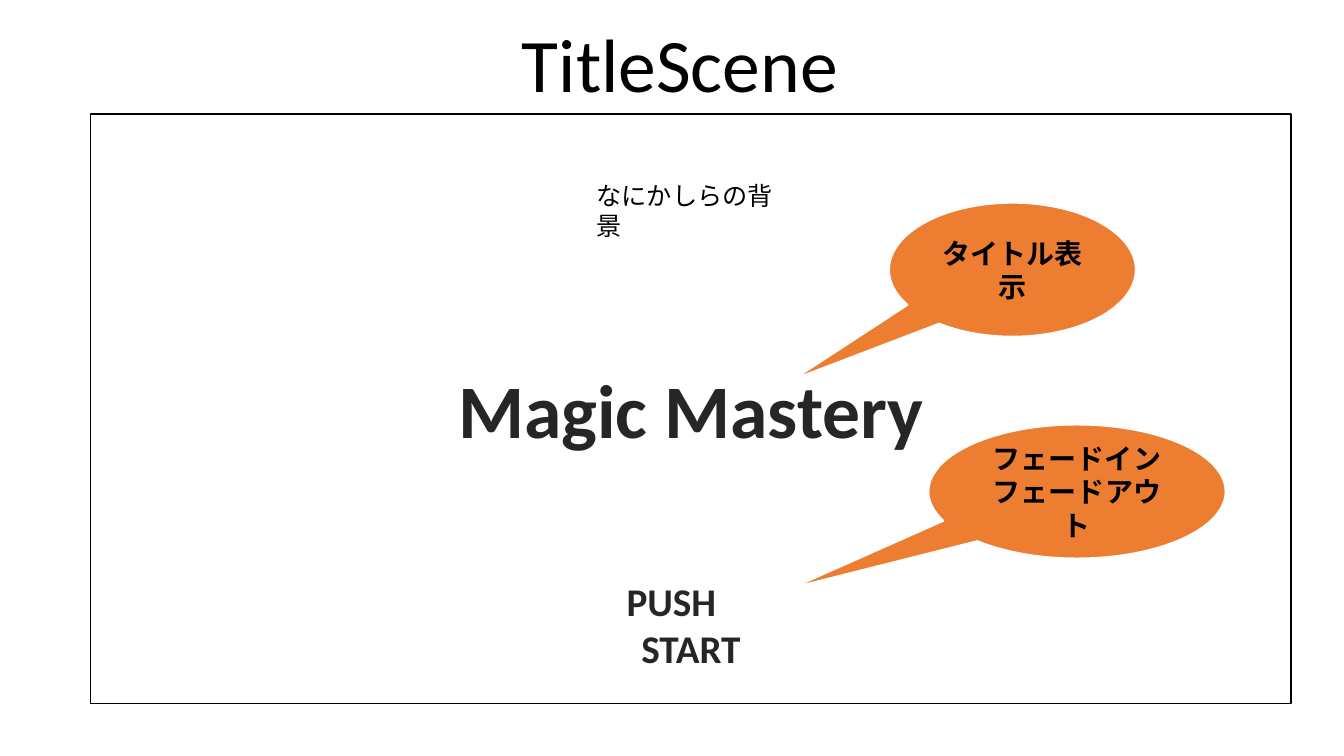
from pptx import Presentation
from pptx.dml.color import RGBColor
from pptx.enum.shapes import MSO_SHAPE
from pptx.enum.text import MSO_ANCHOR, MSO_AUTO_SIZE, PP_ALIGN
from pptx.util import Pt

BLACK = RGBColor(0x00, 0x00, 0x00)
CHARCOAL = RGBColor(0x26, 0x26, 0x26)
WHITE = RGBColor(0xFF, 0xFF, 0xFF)
ORANGE = RGBColor(0xED, 0x7D, 0x31)
RECTANGLE = MSO_SHAPE.RECTANGLE
CALLOUT = MSO_SHAPE.OVAL_CALLOUT
LEFT, CENTER = PP_ALIGN.LEFT, PP_ALIGN.CENTER
TOP, MIDDLE = MSO_ANCHOR.TOP, MSO_ANCHOR.MIDDLE
NO_AUTOFIT = MSO_AUTO_SIZE.NONE
FONT = "Calibri"


def write(shape, lines, size, color=BLACK, bold=False, align=CENTER, anchor=TOP):
    frame = shape.text_frame
    frame.word_wrap = True
    frame.auto_size = NO_AUTOFIT
    frame.vertical_anchor = anchor
    frame.margin_left = frame.margin_right = Pt(7.2)
    frame.margin_top = frame.margin_bottom = Pt(3.6)
    for index, line in enumerate(lines):
        para = frame.add_paragraph() if index else frame.paragraphs[0]
        para.alignment = align
        para.line_spacing = 1.0
        span = para.add_run()
        span.text = line
        span.font.name = FONT
        span.font.size = Pt(size)
        span.font.bold = bold
        span.font.color.rgb = color


def add_heading(page, left, top, width, height):
    title = page.shapes.title
    title.left, title.top = Pt(left), Pt(top)
    title.width, title.height = Pt(width), Pt(height)
    write(title, ["TitleScene"], 54)


def add_outlined(page, kind, box, fill, line, line_width):
    shape = page.shapes.add_shape(kind, *map(Pt, box))
    shape.shadow.inherit = False
    shape.fill.solid()
    shape.fill.fore_color.rgb = fill
    shape.line.color.rgb = line
    shape.line.width = Pt(line_width)
    return shape


def add_label(page, box, text, size, **style):
    write(page.shapes.add_textbox(*map(Pt, box)), [text], size, **style)


def add_callout(page, box, tip, lines):
    """Draw an oval note; tip is the pointer's offset from its centre, in box sizes."""
    callout = add_outlined(page, CALLOUT, box, ORANGE, WHITE, 1.5)
    callout.adjustments[0], callout.adjustments[1] = tip
    write(callout, lines, 20, bold=True, anchor=MIDDLE)


def add_game_screen(page, left, top, width, height):
    add_outlined(page, RECTANGLE, (left, top, width, height), WHITE, BLACK, 1)
    middle = left + width / 2

    def centred(offset, label_width, label_height):
        return middle - label_width / 2, top + offset, label_width, label_height

    add_label(page, centred(174.2, 350.6, 72.7), "Magic Mastery", 54,
              color=CHARCOAL, bold=True)
    add_label(page, centred(43.9, 149, 29), "なにかしらの背景", 18, align=LEFT)
    add_callout(page, (left + 570.2, top + 63.4, 176.4, 95.8),
                (-0.89, 0.82), ["タイトル表示"])
    add_label(page, centred(327.6, 170, 41), "PUSH　START", 28,
              color=CHARCOAL, bold=True)
    add_callout(page, (left + 598.3, top + 221.8, 212.4, 95.8),
                (-0.96, 0.72), ["フェードイン", "フェードアウト"])


def main():
    deck = Presentation()
    deck.slide_width, deck.slide_height = Pt(960), Pt(540)
    page = deck.slides.add_slide(deck.slide_layouts[5])
    add_heading(page, 332.4, 8.6, 306.7, 72.7)
    add_game_screen(page, 64.8, 81.4, 857.5, 421.2)
    deck.save("out.pptx")


if __name__ == "__main__":
    main()
